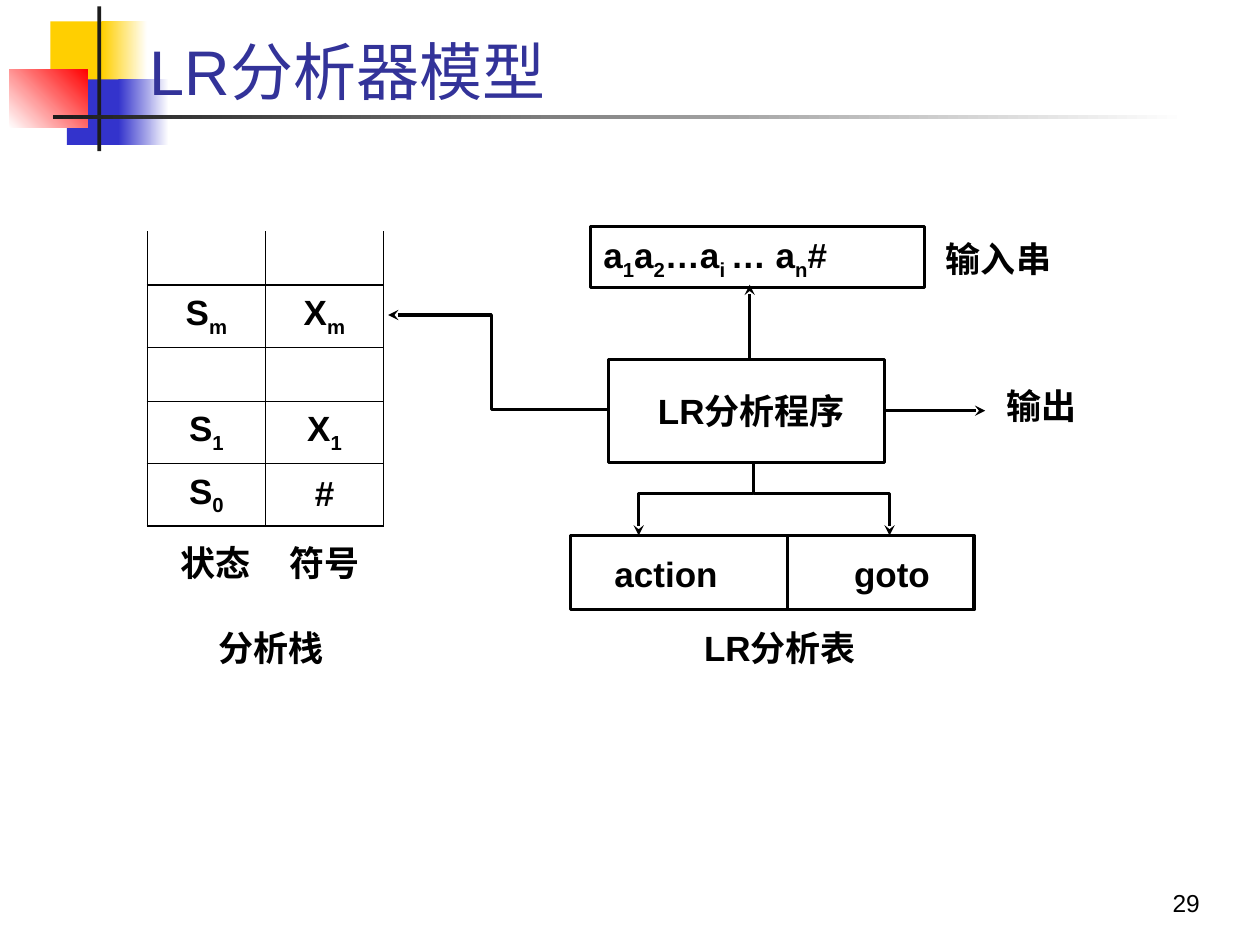
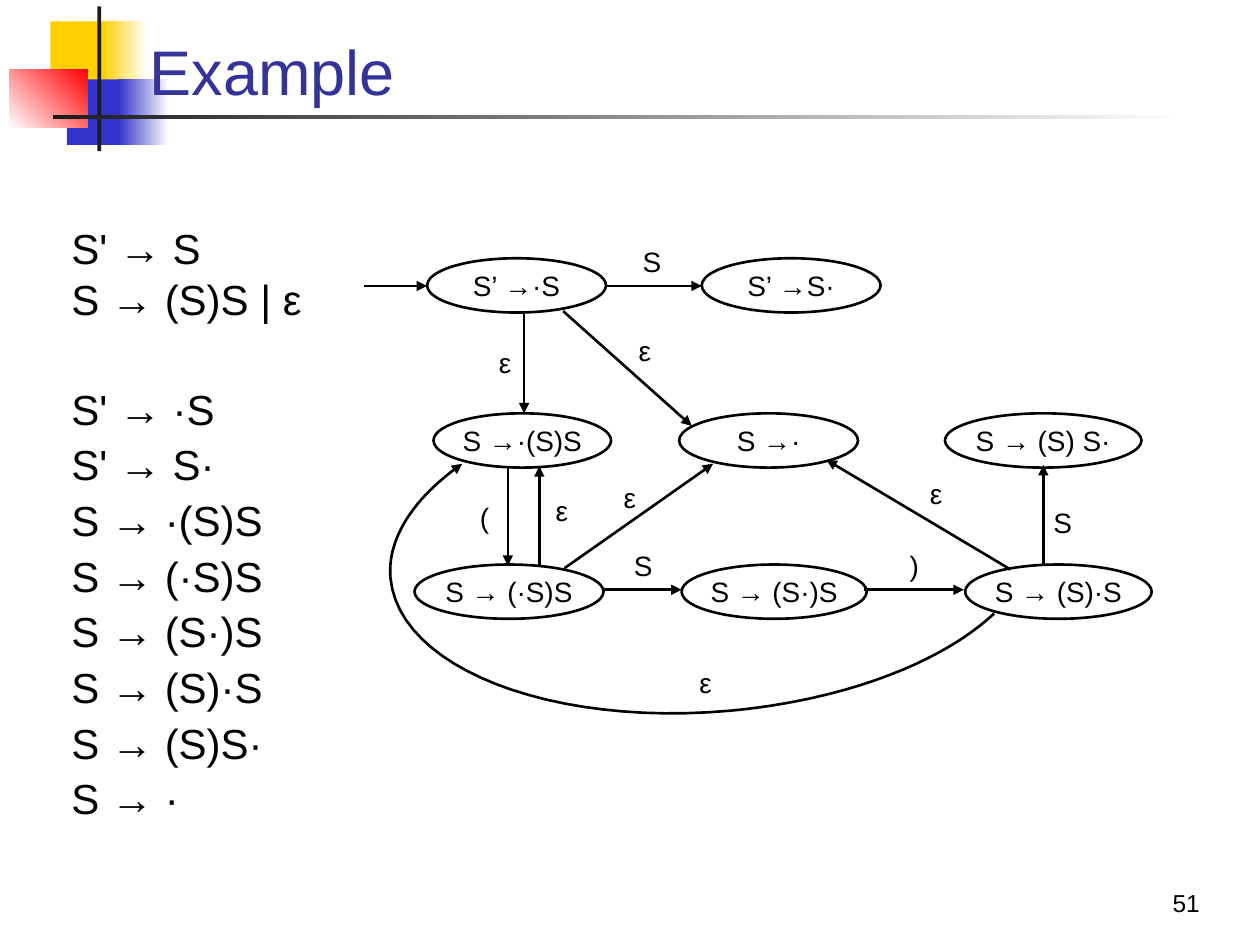
"""Build two slides on LR parsing: the parser model and an NFA of LR(0) items."""
from lxml import etree
from pptx import Presentation
from pptx.dml.color import RGBColor
from pptx.enum.shapes import MSO_CONNECTOR, MSO_SHAPE
from pptx.enum.text import MSO_ANCHOR, PP_ALIGN
from pptx.oxml.ns import qn
from pptx.util import Pt

RECT, OVAL, STRAIGHT = MSO_SHAPE.RECTANGLE, MSO_SHAPE.OVAL, MSO_CONNECTOR.STRAIGHT
LEFT, CENTER, RIGHT = PP_ALIGN.LEFT, PP_ALIGN.CENTER, PP_ALIGN.RIGHT
MIDDLE, BOTTOM = MSO_ANCHOR.MIDDLE, MSO_ANCHOR.BOTTOM
COLORS = {"black": "000000", "white": "FFFFFF", "title": "333399", "yellow": "FFCF01",
          "blue": "3333CC", "red": "FF0000", "rule": "1C1C1C"}
RGB = {name: RGBColor.from_string(value) for name, value in COLORS.items()}
CJK_FONT = "Noto Sans CJK SC"
NO_TABLE_STYLE = "{2D5ABB26-0587-4C30-8999-92F81FD0307C}"


def write(tf, text, size, align=LEFT, bold=False, color="black", font="Arial"):
    """Fill a text frame; pieces between tildes are subscripts."""
    for n, line in enumerate(text.split("\n")):
        p = tf.add_paragraph() if n else tf.paragraphs[0]
        p.alignment = align
        for k, piece in enumerate(line.split("~")):
            r = p.add_run()
            r.text = piece
            r.font.size, r.font.bold, r.font.name = Pt(size), bold, font
            r.font.color.rgb = RGB[color]
            etree.SubElement(r.font._rPr, qn("a:ea"), typeface=CJK_FONT)
            if k % 2:
                r.font._rPr.set("baseline", "-25000")


def outline(shape, width, head=None, color="black"):
    """Set a plain line without shadow, with an optional arrowhead at its end."""
    shape.line.width = Pt(width)
    shape.line.color.rgb = RGB[color]
    if head:
        etree.SubElement(shape.line._get_or_add_ln(), qn("a:tailEnd"), type=head)
    etree.SubElement(shape._element.spPr, qn("a:effectLst"))


prs = Presentation()
prs.slide_width, prs.slide_height = Pt(720), Pt(540)

bands = [
    ((28.8, 12.2, 34.6, 37.4), ["yellow"], 0),
    ((58.3, 12.2, 25.9, 37.4), ["yellow", "white"], 0),
    ((38.2, 45.4, 33.1, 37.4), ["blue"], 0),
    ((67.7, 45.4, 28.8, 37.4), ["blue", "white"], 0),
    ((5.4, 39.6, 44.9, 33.5), ["white", "red"], 45),
    ((55.7, 3.6, 2.2, 82.8), ["rule"], 0),
    ((30.4, 65.6, 648, 2.3), ["rule", "white"], 0),
]
slides = []
for title, number in [("LR分析器模型", "29"), ("Example", "51")]:
    s = prs.slides.add_slide(prs.slide_layouts[6])
    slides.append(s)
    for box, fills, angle in bands:
        sp = s.shapes.add_shape(RECT, *map(Pt, box))
        sp.shadow.inherit = False
        sp.line.fill.background()
        if len(fills) == 1:
            sp.fill.solid()
            sp.fill.fore_color.rgb = RGB[fills[0]]
            continue
        sp.fill.gradient()
        sp.fill.gradient_angle = angle
        for position, (stop, name) in enumerate(zip(sp.fill.gradient_stops, fills)):
            stop.position = position
            stop.color.rgb = RGB[name]
    for text, box, size, align, color in [
            (title, (78.5, 16.6, 624.2, 49), 36, LEFT, "title"),
            (number, (542.9, 491.8, 149.8, 36), 14, RIGHT, "black")]:
        tf = s.shapes.add_textbox(*map(Pt, box)).text_frame
        tf.word_wrap, tf.vertical_anchor = True, BOTTOM
        write(tf, text, size, align, color=color)
        if size == 36:
            tf.paragraphs[0].line_spacing = 0.85
model, example = slides

boxes = {}
for name, box, text, align in [
        ("program", (347.8, 205.2, 157.7, 59), " LR分析程序", CENTER),
        ("input", (337.7, 129.6, 190.8, 34.6), "a~1~a~2~…a~i ~… a~n~#", LEFT),
        ("tables", (326.2, 306, 230.4, 42.5), "", CENTER)]:
    sp = boxes[name] = model.shapes.add_shape(RECT, *map(Pt, box))
    sp.fill.background()
    outline(sp, 1.75)
    sp.text_frame.vertical_anchor = MIDDLE
    if text:
        write(sp.text_frame, text, 20, align, True)

for points in [
        [(347.8, 234), (280.8, 234), (280.8, 180), (221.8, 180)],
        [(430.6, 264.2), (430.6, 282.2), (365, 282.2), (365, 306)],
        [(430.6, 282.2), (508.3, 282.2), (508.3, 306)]]:
    corners = [(Pt(x), Pt(y)) for x, y in points]
    builder = model.shapes.build_freeform(*corners[0])
    builder.add_line_segments(corners[1:], close=False)
    sp = builder.convert_to_shape()
    sp.fill.background()
    outline(sp, 1.75, "stealth")

for ends, head in [((428.4, 205.2, 428.4, 162.7), "stealth"),
                   ((450, 306, 450, 348.5), None),
                   ((505.5, 234.7, 563, 234.7), "stealth")]:
    line = model.shapes.add_connector(STRAIGHT, *map(Pt, ends))
    outline(line, 1.75, head)
line.begin_connect(boxes["program"], 3)

label_w, label_h = 110, 32
for text, center_x, center_y, font in [
        ("输入串", 570.6, 147.8, "Times New Roman"),
        ("输出", 595.4, 231.5, "Times New Roman"),
        ("action", 380.6, 327.6, "Arial"),
        ("goto", 509.7, 327.6, "Arial"),
        ("LR分析表", 445.7, 369.8, "Arial"),
        ("状态", 122.9, 321.7, CJK_FONT),
        ("符号", 185.7, 321.7, CJK_FONT),
        ("分析栈", 154.9, 369.8, CJK_FONT)]:
    tf = model.shapes.add_textbox(Pt(center_x - label_w / 2), Pt(center_y - label_h / 2),
                                  Pt(label_w), Pt(label_h)).text_frame
    tf.word_wrap, tf.vertical_anchor = True, MIDDLE
    write(tf, text, 20, CENTER, True, font=font)

stack = [("", ""), ("S~m", "X~m"), ("", ""), ("S~1", "X~1"), ("S~0", "#")]
row_heights = [31, 35.5, 31, 35.5, 35.5]
table = model.shapes.add_table(5, 2, Pt(84.2), Pt(132), Pt(135), Pt(sum(row_heights))).table
table.first_row = table.horz_banding = False
table._tbl.tblPr[0].text = NO_TABLE_STYLE
for column in table.columns:
    column.width = Pt(67.5)
for i, (height, texts) in enumerate(zip(row_heights, stack)):
    table.rows[i].height = Pt(height)
    for j, text in enumerate(texts):
        cell = table.cell(i, j)
        cell.vertical_anchor = MIDDLE
        cell.margin_left = cell.margin_right = Pt(5)
        cell.margin_top = cell.margin_bottom = 0
        cell.fill.background()
        if text:
            write(cell.text_frame, text, 20, CENTER, True)
        sides = ["lnL", "lnR", "lnT", "lnB"] if i else ["lnL", "lnR", "lnB"]
        for k, side in enumerate(sides):
            ln = etree.Element(qn("a:" + side), w=str(Pt(1)))
            fill = etree.SubElement(ln, qn("a:solidFill"))
            etree.SubElement(fill, qn("a:srgbClr"), val=COLORS["black"])
            cell._tc.tcPr.insert(k, ln)

grammar = ["S' → S", "S → (S)S | ε"]
items = ["S' → ·S", "S' → S·", "S → ·(S)S", "S → (·S)S", "S → (S·)S", "S → (S)·S",
         "S → (S)S·", "S → ·"]
tf = example.shapes.add_textbox(Pt(33.8), Pt(123.8), Pt(152), Pt(354)).text_frame
tf.word_wrap = True
write(tf, "\n".join(grammar + items), 24)
for p in tf.paragraphs[len(grammar):]:
    p.space_before = Pt(3)
tf.paragraphs[len(grammar)].space_before = Pt(34)

for text, x, y, width in [
        ("S’ →·S", 244.1, 147.6, 102.2), ("S’ →S·", 401, 147.6, 102.2),
        ("S →·(S)S", 247.7, 236.2, 101.5), ("S →·", 388.1, 236.2, 102.2),
        ("S → (S) S·", 540, 236.2, 112.3), ("S → (·S)S", 236.9, 322.6, 108),
        ("S → (S·)S", 389.5, 322.6, 105.8), ("S → (S)·S", 551.5, 322.6, 106.6)]:
    sp = example.shapes.add_shape(OVAL, Pt(x), Pt(y), Pt(width), Pt(31))
    sp.fill.solid()
    sp.fill.fore_color.rgb = RGB["white"]
    outline(sp, 1.5)
    tf = sp.text_frame
    tf.margin_left = tf.margin_right = tf.margin_top = tf.margin_bottom = 0
    tf.vertical_anchor = MIDDLE
    write(tf, text, 16, CENTER)

for ends in [
        (208, 163.4, 244, 163.4), (347, 163.4, 401, 163.4),
        (299.5, 179.3, 299.5, 236.2), (321.8, 177.8, 395.3, 243.4),
        (308.2, 323.3, 308.2, 266.4), (290.2, 266.4, 290.2, 323.3),
        (322.6, 324.7, 407.5, 265), (344.2, 337, 389.5, 337),
        (493.9, 337, 550.8, 337), (577.4, 325.4, 472.3, 262.8),
        (596.2, 322.6, 596.2, 265.7)]:
    outline(example.shapes.add_connector(STRAIGHT, *map(Pt, ends)), 1.5, "triangle")

controls = [(568.1, 350.6), (536.4, 380.2), (479.5, 400.3), (417.6, 406.1), (314.6, 415.4),
            (228.2, 381.6), (223.2, 330.5), (221, 308.2), (236.2, 284.4), (264.2, 265)]
steps = 24
curve = []
for start in range(0, len(controls) - 1, 3):
    for step in range(1, steps + 1):
        t = step / steps
        weights = [(1 - t) ** 3, 3 * t * (1 - t) ** 2, 3 * t ** 2 * (1 - t), t ** 3]
        curve.append([Pt(sum(w * c[axis] for w, c in zip(weights, controls[start:start + 4])))
                      for axis in (0, 1)])
builder = example.shapes.build_freeform(*map(Pt, controls[0]))
builder.add_line_segments(curve, close=False)
sp = builder.convert_to_shape()
sp.fill.background()
outline(sp, 1.5, "triangle")

for text, x, y in [
        ("S", 367.2, 139.7), ("ε", 285.1, 197.3), ("ε", 365, 190.8), ("ε", 317.5, 282.2),
        ("(", 274.3, 285.8), ("ε", 356.4, 274.3), ("S", 362.2, 313.2), (")", 519.8, 313.2),
        ("ε", 531.4, 272.2), ("S", 601.9, 288.7), ("ε", 399.6, 380.2)]:
    sp = example.shapes.add_shape(RECT, Pt(x), Pt(y), Pt(9.4), Pt(15.8))
    sp.fill.solid()
    sp.fill.fore_color.rgb = RGB["white"]
    outline(sp, 1.5, color="white")
    tf = sp.text_frame
    tf.margin_left = tf.margin_right = tf.margin_top = tf.margin_bottom = 0
    tf.vertical_anchor = MSO_ANCHOR.TOP
    write(tf, text, 16)

prs.save("out.pptx")
